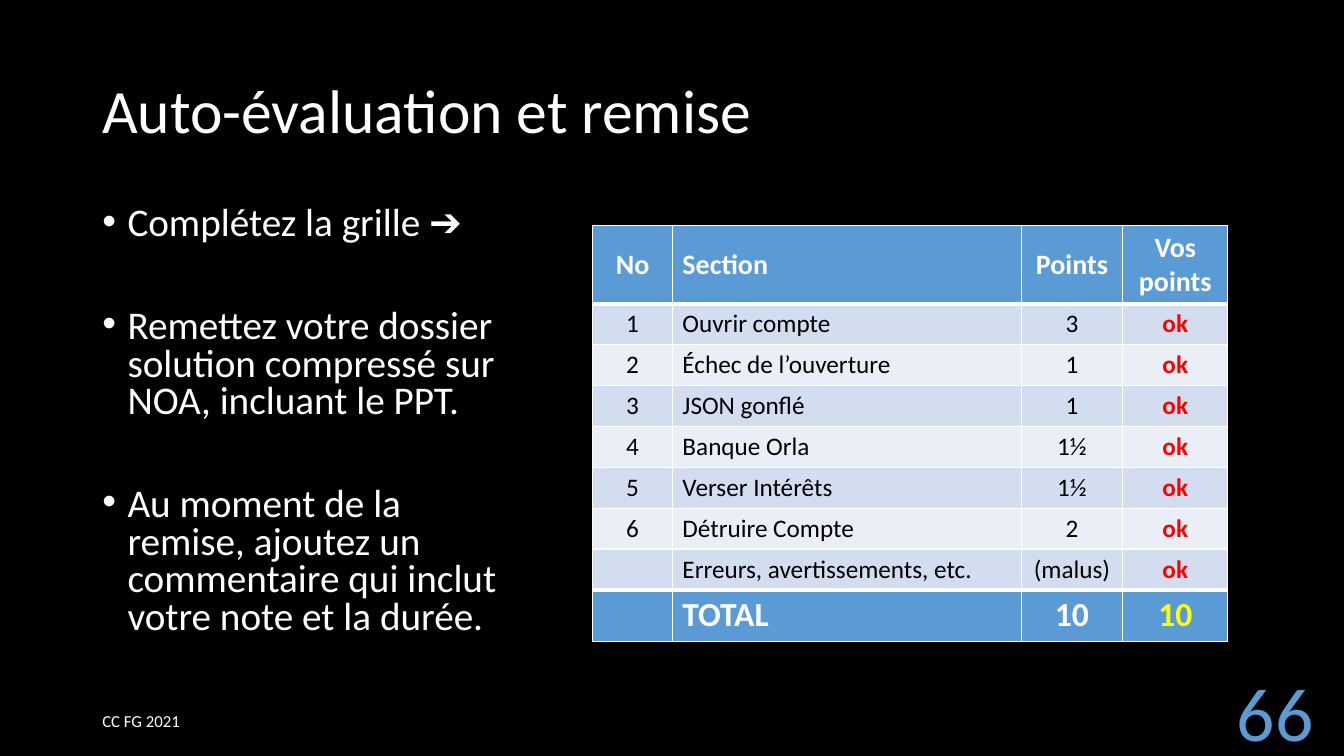
from lxml import etree
from pptx import Presentation
from pptx.dml.color import RGBColor
from pptx.enum.text import MSO_ANCHOR, PP_ALIGN
from pptx.oxml.ns import qn
from pptx.util import Pt

LEFT, MID, RIGHT = PP_ALIGN.LEFT, PP_ALIGN.CENTER, PP_ALIGN.RIGHT
TOP, CENTRE = MSO_ANCHOR.TOP, MSO_ANCHOR.MIDDLE

HEX = {
    "black": "000000", "white": "FFFFFF", "blue": "5B9BD5",
    "dark": "D2DEEF", "light": "EAEFF7", "red": "FF0000", "yellow": "FFFF00",
}
FONT = "Calibri"
TITLE = "Auto-évaluation et remise"
STEPS = [
    "Complétez la grille ➔",
    "Remettez votre dossier solution compressé sur NOA, incluant le PPT.",
    "Au moment de la remise, ajoutez un commentaire qui inclut votre note et la durée.",
]
FOOTER = "CC FG 2021"
PAGE = "66"
GRID = [
    ("No", "Section", "Points", "Vos points"),
    ("1", "Ouvrir compte", "3", "ok"),
    ("2", "Échec de l’ouverture", "1", "ok"),
    ("3", "JSON gonflé", "1", "ok"),
    ("4", "Banque Orla", "1½", "ok"),
    ("5", "Verser Intérêts", "1½", "ok"),
    ("6", "Détruire Compte", "2", "ok"),
    ("", "Erreurs, avertissements, etc.", "(malus)", "ok"),
    ("", "TOTAL", "10", "10"),
]
WIDTHS = (56.9, 249.1, 72.7, 74.9)
ALIGNS = (MID, LEFT, MID, MID)
LAST = len(GRID) - 1
HEAD_H, ROW_H, TOTAL_H = 55.7, 29.2, 36.6
HEIGHTS = [HEAD_H] + [ROW_H] * (LAST - 1) + [TOTAL_H]
THIN, THICK = 1, 3


def color(name):
    return RGBColor.from_string(HEX[name])


def write(para, text, size, ink, bold=False, **layout):
    """Fill a paragraph; layout holds paragraph attributes."""
    for key, value in layout.items():
        setattr(para, key, value)
    run = para.add_run()
    run.text = text
    look = {"name": FONT, "size": Pt(size), "bold": bold}
    for key, value in look.items():
        setattr(run.font, key, value)
    run.font.color.rgb = color(ink)


def add_box(slide, x, y, w, h, anchor):
    frame = slide.shapes.add_textbox(Pt(x), Pt(y), Pt(w), Pt(h)).text_frame
    frame.word_wrap = True
    frame.vertical_anchor = anchor
    return frame


def add_steps(slide):
    frame = add_box(slide, 66, 144, 317.5, 342.7, TOP)
    for i, step in enumerate(STEPS):
        para = frame.add_paragraph() if i else frame.paragraphs[0]
        write(para, step, 28, "white", line_spacing=0.8,
              space_before=Pt(46.5 if i else 0))
        props = para._p.get_or_add_pPr()
        props.set("marL", str(Pt(18)))
        props.set("indent", str(Pt(-18)))
        etree.SubElement(props, qn("a:buFont")).set("typeface", "Arial")
        etree.SubElement(props, qn("a:buChar")).set("char", "•")


def add_edges(cell, row):
    """Draw white cell borders, thick below the header and above the total."""
    props = cell._tc.get_or_add_tcPr()
    edges = {
        "L": THIN, "R": THIN,
        "T": THICK if row in (1, LAST) else THIN,
        "B": THICK if row in (0, LAST - 1) else THIN,
    }
    for spot, (side, width) in enumerate(edges.items()):
        line = etree.Element(qn(f"a:ln{side}"), w=str(Pt(width)))
        fill = etree.SubElement(line, qn("a:solidFill"))
        etree.SubElement(fill, qn("a:srgbClr")).set("val", HEX["white"])
        props.insert(spot, line)


def style(row, col):
    """Give the fill, size, ink and weight of a cell."""
    mark = col == len(WIDTHS) - 1
    if row == 0:
        return "blue", 20, "white", True
    if row == LAST:
        return "blue", 24, "yellow" if mark else "white", True
    band = "dark" if row % 2 else "light"
    return band, 18, "red" if mark else "black", mark


def add_grid(slide):
    table = slide.shapes.add_table(
        len(GRID), len(WIDTHS), Pt(423.4), Pt(161.3),
        Pt(sum(WIDTHS)), Pt(sum(HEIGHTS))).table
    for col, width in enumerate(WIDTHS):
        table.columns[col].width = Pt(width)
    for row, texts in enumerate(GRID):
        table.rows[row].height = Pt(HEIGHTS[row])
        for col, text in enumerate(texts):
            cell = table.cell(row, col)
            cell.vertical_anchor = CENTRE
            back, size, ink, bold = style(row, col)
            cell.fill.solid()
            cell.fill.fore_color.rgb = color(back)
            add_edges(cell, row)
            if text:
                write(cell.text_frame.paragraphs[0], text, size, ink, bold,
                      alignment=ALIGNS[col])


def main():
    deck = Presentation()
    deck.slide_width, deck.slide_height = Pt(960), Pt(540)
    slide = deck.slides.add_slide(deck.slide_layouts[6])
    slide.background.fill.solid()
    slide.background.fill.fore_color.rgb = color("black")

    title = add_box(slide, 66, 28.8, 828, 104.4, CENTRE)
    write(title.paragraphs[0], TITLE, 44, "white", line_spacing=0.9)
    add_steps(slide)
    foot = add_box(slide, 66, 500.5, 216, 28.8, CENTRE)
    write(foot.paragraphs[0], FOOTER, 12, "white")
    page = add_box(slide, 678.2, 486.7, 267.1, 43.2, CENTRE)
    write(page.paragraphs[0], PAGE, 54, "blue", alignment=RIGHT)
    add_grid(slide)
    deck.save("out.pptx")


if __name__ == "__main__":
    main()
